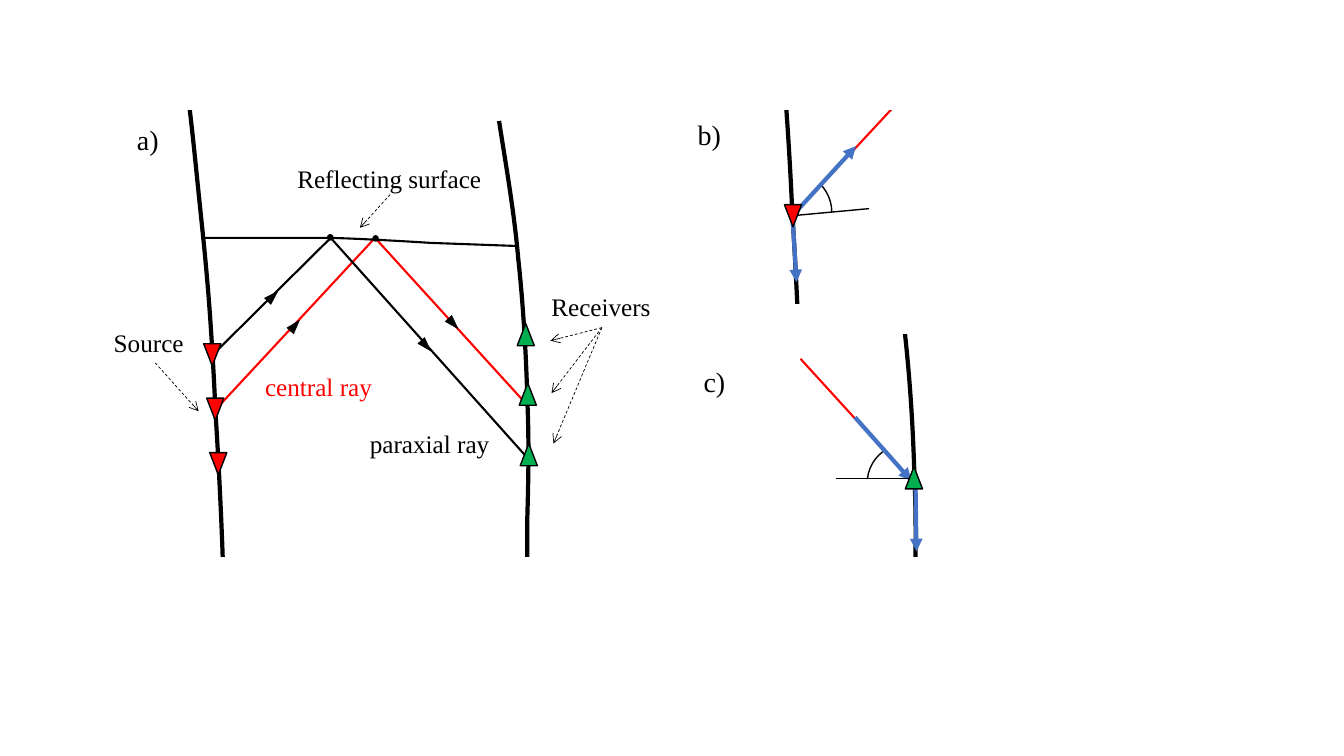
from pptx import Presentation
from pptx.dml.color import RGBColor
from pptx.enum.dml import MSO_LINE
from pptx.enum.shapes import MSO_CONNECTOR, MSO_SHAPE
from pptx.enum.text import MSO_ANCHOR, MSO_AUTO_SIZE, PP_ALIGN
from pptx.oxml.ns import qn
from pptx.util import Inches, Pt
from lxml import etree

ARC = MSO_SHAPE.ARC
DOT = MSO_SHAPE.OVAL
BOX = MSO_SHAPE.RECTANGLE
CONE = MSO_SHAPE.ISOSCELES_TRIANGLE
LINE = MSO_CONNECTOR.STRAIGHT
DASH = MSO_LINE.DASH
LEFT = PP_ALIGN.LEFT
TOP = MSO_ANCHOR.TOP
FIT = MSO_AUTO_SIZE.SHAPE_TO_FIT_TEXT

BLACK, WHITE, RED = "000000", "FFFFFF", "FF0000"
GREEN, BLUE = "00B050", "4472C4"
FONT = "Times New Roman"

WELL = [(1.88, 1.07), (1.92, 1.4), (1.95, 1.72), (1.98, 2.01),
        (2.01, 2.3), (2.03, 2.48), (2.06, 2.83),
        (2.09, 3.18), (2.12, 3.67), (2.14, 4.13),
        (2.17, 4.58), (2.2, 5.23), (2.21, 5.55),
        (2.22, 5.88), (2.22, 5.98), (2.22, 6.07)]
BORE = [(4.95, 1.2), (5.02, 1.65), (5.1, 2.1), (5.14, 2.56),
        (5.19, 3.02), (5.22, 3.53), (5.23, 3.96),
        (5.25, 4.39), (5.24, 4.81), (5.23, 5.15),
        (5.23, 5.49), (5.23, 5.74), (5.22, 5.99)]
SURFACE = [(2, 2.36), (3.28, 2.36),
           (3.65, 2.37), (4.27, 2.41), (4.27, 2.41), (5.11, 2.44)]


def paint(part, color):
    part.solid()
    part.fore_color.rgb = RGBColor.from_string(color)


def stroke(line, color, width):
    paint(line.fill, color)
    line.width = Pt(width)


def ray(slide, start, end, color=BLACK, width=1.5, dash=None, tip=None):
    link = slide.shapes.add_connector(LINE, *map(Inches, start + end))
    stroke(link.line, color, width)
    if dash:
        link.line.dash_style = dash
    props = link._element.spPr
    if tip:
        edge = props.find(qn("a:ln"))
        etree.SubElement(edge, qn("a:tailEnd")).set("type", tip)
    etree.SubElement(props, qn("a:effectLst"))


def form(slide, kind, place, fill=None, line=BLACK, width=1, turn=0):
    shape = slide.shapes.add_shape(kind, *map(Inches, place))
    shape.shadow.inherit = False
    shape.rotation = turn
    if fill:
        paint(shape.fill, fill)
    else:
        shape.fill.background()
    if line:
        stroke(shape.line, line, width)
    else:
        shape.line.fill.background()
    return shape


def arc(slide, left, top, turn=0):
    shape = form(slide, ARC, (left, top, 0.79, 0.79), turn=turn)
    shape.adjustments[0] = 188.24
    shape.adjustments[1] = 0


def source(slide, left, top):
    form(slide, CONE, (left, top, 0.17, 0.22), RED, turn=180)


def sensor(slide, left, top):
    form(slide, CONE, (left, top, 0.17, 0.22), GREEN)


def bend(legs):
    first, *rest = legs
    first.tag = qn("a:cubicBezTo")
    for leg in rest:
        first.append(leg[0])
        leg.getparent().remove(leg)


def curve(slide, track, width, right=0, down=0, lead=0):
    dots = [(Inches(x + right), Inches(y + down)) for x, y in track]
    pen = slide.shapes.build_freeform(*dots[0])
    pen.add_line_segments(dots[1:], close=False)
    shape = pen.convert_to_shape()
    legs = list(shape._element.iter(qn("a:lnTo")))
    for i in range(lead, len(legs) - 2, 3):
        bend(legs[i:i + 3])
    shape.shadow.inherit = False
    shape.fill.background()
    stroke(shape.line, BLACK, width)


def write(shape, text, size=18, color=BLACK, wrap=False, space=None, after=None):
    frame = shape.text_frame
    frame.word_wrap = wrap
    frame.vertical_anchor = TOP
    if not wrap:
        frame.auto_size = FIT
    para = frame.paragraphs[0]
    para.alignment = LEFT
    if space:
        para.line_spacing = space
    if after:
        para.space_after = Pt(after)
    run = para.add_run()
    run.text = text
    run.font.name = FONT
    run.font.size = Pt(size)
    run.font.color.rgb = RGBColor.from_string(color)


def label(slide, text, left, top, width, color=BLACK):
    box = slide.shapes.add_textbox(*map(Inches, (left, top, width, 0.4)))
    write(box, text, color=color)


def letter(slide, text, *place):
    box = form(slide, BOX, place, WHITE, None)
    write(box, text, size=20, wrap=True, space=1.07, after=8)


def mask(slide, *place):
    form(slide, BOX, place, WHITE, WHITE)


def survey(slide):
    ray(slide, (1.54, 3.6), (1.97, 4.08), width=0.5, dash=DASH, tip="arrow")
    for end in [(5.46, 3.38), (5.49, 4.4), (5.47, 3.9)]:
        ray(slide, (5.97, 3.25), end, width=0.5, dash=DASH, tip="arrow")
    ray(slide, (3.87, 1.93), (3.57, 2.26), width=0.5, dash=DASH, tip="arrow")
    for color, peak, ends in [(RED, (3.72, 2.36), [(5.23, 4.02), (2.16, 4.04)]),
                              (BLACK, (3.28, 2.36), [(2.11, 3.52), (5.22, 4.53)])]:
        for end in ends:
            ray(slide, end, peak, color)
    for left, top in [(3.25, 2.33), (3.7, 2.34)]:
        form(slide, DOT, (left, top, 0.05, 0.05), BLACK)
    for left, top, turn in [(4.18, 3.36, 138), (2.66, 2.87, 45.8),
                            (4.45, 3.14, 137.2), (2.88, 3.16, 41.4)]:
        form(slide, CONE, (left, top, 0.09, 0.14), BLACK, width=0.25, turn=turn)
    curve(slide, WELL, 3)
    curve(slide, BORE, 3)
    curve(slide, SURFACE, 1.5, lead=1)
    for i in range(3):
        source(slide, 2.02 + 0.03 * i, 3.41 + 0.54 * i)
    for left, top in [(5.13, 3.21), (5.15, 3.8), (5.16, 4.4)]:
        sensor(slide, left, top)
    label(slide, "Reflecting surface", 2.85, 1.57, 2.05)
    label(slide, "Source", 1.03, 3.2, 0.9)
    label(slide, "central ray", 2.53, 3.63, 1.28, RED)
    label(slide, "paraxial ray", 3.57, 4.2, 1.4)
    label(slide, "Receivers", 5.37, 2.84, 1.2)


def details(slide):
    ray(slide, (7.88, 2.12), (9.44, 0.44), RED)
    curve(slide, WELL, 3, 5.72, -1.99)
    mask(slide, 1.62, -0.31, 9.25, 1.39)
    mask(slide, 7.6, 3.02, 0.78, 1.18)
    ray(slide, (9.08, 4.81), (7.94, 3.56), RED)
    curve(slide, BORE, 3, 3.84, 0.79)
    mask(slide, 1.03, 5.53, 8.16, 1.32)
    mask(slide, 8.71, 1.99, 0.78, 1.32)
    letter(slide, "b)", 6.82, 1.09, 0.55, 0.4)
    letter(slide, "a)", 1.26, 1.14, 0.54, 0.43)
    letter(slide, "c)", 6.88, 3.54, 0.54, 0.43)
    for end in [(7.9, 2.8), (8.49, 1.45)]:
        ray(slide, (7.86, 2.14), end, BLUE, 3, tip="triangle")
    ray(slide, (7.86, 2.14), (8.62, 2.07), width=1)
    source(slide, 7.78, 2.03)
    ray(slide, (9.08, 4.79), (9.09, 5.47), BLUE, 3, tip="triangle")
    ray(slide, (8.48, 4.14), (9.04, 4.77), BLUE, 3, tip="triangle")
    ray(slide, (8.29, 4.75), (9.06, 4.75), width=1)
    sensor(slide, 8.98, 4.63)


def main():
    deck = Presentation()
    deck.slide_width = Inches(13.33)
    deck.slide_height = Inches(7.5)
    slide = deck.slides.add_slide(deck.slide_layouts[6])
    arc(slide, 7.46, 1.71)
    arc(slide, 8.6, 4.4, 232.6)
    survey(slide)
    details(slide)
    deck.save("out.pptx")


if __name__ == "__main__":
    main()
